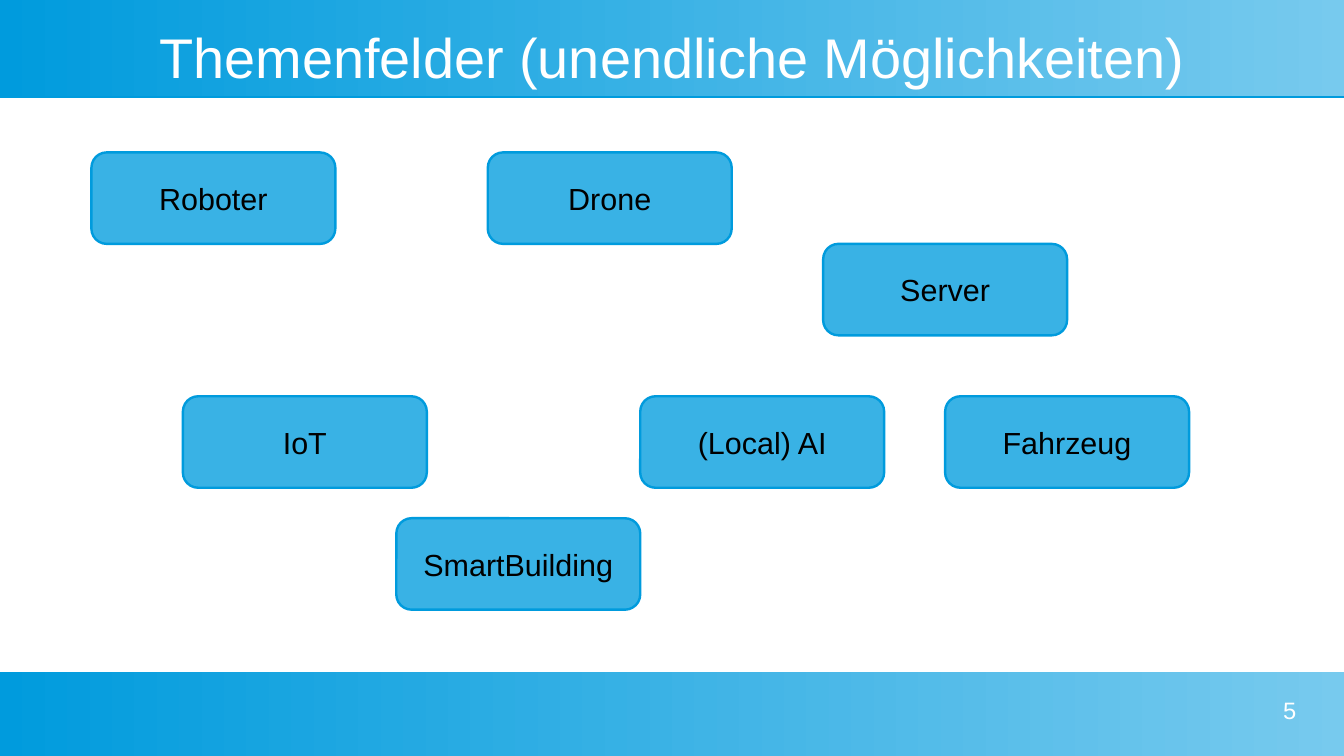
from typing import NamedTuple

from lxml import etree
from pptx import Presentation
from pptx.dml.color import RGBColor
from pptx.enum.shapes import MSO_SHAPE
from pptx.enum.text import MSO_ANCHOR, PP_ALIGN
from pptx.oxml.ns import qn
from pptx.shapes.autoshape import Shape
from pptx.slide import Slide
from pptx.text.text import TextFrame
from pptx.util import Inches, Pt

RECTANGLE, ROUNDED = MSO_SHAPE.RECTANGLE, MSO_SHAPE.ROUNDED_RECTANGLE
CENTER, RIGHT = PP_ALIGN.CENTER, PP_ALIGN.RIGHT
MIDDLE, TOP = MSO_ANCHOR.MIDDLE, MSO_ANCHOR.TOP

COLORS = {
    "deep": "009BDD",
    "light": "77CAEE",
    "topic": "39B2E5",
    "white": "FFFFFF",
    "black": "000000",
}
FONT = "Arial"
SLIDE_WIDTH, SLIDE_HEIGHT = 11.02, 6.2
TOPIC_WIDTH, TOPIC_HEIGHT = 2, 0.75


class Band(NamedTuple):
    top: float
    height: float


class Topic(NamedTuple):
    label: str
    left: float
    top: float


BANDS = [Band(0, 0.79), Band(5.51, 0.69)]
TOPICS = [
    Topic("Roboter", 0.75, 1.25),
    Topic("Drone", 4, 1.25),
    Topic("IoT", 1.5, 3.25),
    Topic("(Local) AI", 5.25, 3.25),
    Topic("Server", 6.75, 2),
    Topic("Fahrzeug", 7.75, 3.25),
    Topic("SmartBuilding", 3.25, 4.25),
]


def rgb(name: str) -> RGBColor:
    return RGBColor.from_string(COLORS[name])


def write(frame: TextFrame, text: str, size: float, color: str,
          align: PP_ALIGN, anchor: MSO_ANCHOR,
          inset: tuple[float, float] = (0, 0), wrap: bool = True) -> None:
    frame.word_wrap = wrap
    frame.vertical_anchor = anchor
    frame.margin_left = frame.margin_right = Inches(inset[0])
    frame.margin_top = frame.margin_bottom = Inches(inset[1])
    frame.text = text
    paragraph = frame.paragraphs[0]
    paragraph.alignment = align
    paragraph.font.name = FONT
    paragraph.font.size = Pt(size)
    paragraph.font.color.rgb = rgb(color)


def add_edge_shadow(shape: Shape) -> None:
    effects = etree.SubElement(shape.element.spPr, qn("a:effectLst"))
    shadow = etree.SubElement(effects, qn("a:outerShdw"), blurRad="0",
                              dist=str(Pt(0.9)), dir="5400000",
                              algn="t", rotWithShape="0")
    etree.SubElement(shadow, qn("a:srgbClr"), val=COLORS["deep"])


def draw_band(slide: Slide, band: Band) -> None:
    shape = slide.shapes.add_shape(
        RECTANGLE, 0, Inches(band.top), Inches(SLIDE_WIDTH), Inches(band.height))
    shape.line.fill.background()
    shape.fill.gradient()
    shape.fill.gradient_angle = 0
    for stop, position, color in zip(
            shape.fill.gradient_stops, (0, 1), ("deep", "light")):
        stop.position = position
        stop.color.rgb = rgb(color)
    add_edge_shadow(shape)


def draw_topic(slide: Slide, topic: Topic) -> None:
    shape = slide.shapes.add_shape(
        ROUNDED, Inches(topic.left), Inches(topic.top),
        Inches(TOPIC_WIDTH), Inches(TOPIC_HEIGHT))
    shape.shadow.inherit = False
    shape.fill.solid()
    shape.fill.fore_color.rgb = rgb("topic")
    shape.line.color.rgb = rgb("deep")
    shape.line.width = Pt(1.42)
    write(shape.text_frame, topic.label, 18, "black", CENTER, MIDDLE,
          inset=(0.1, 0.05), wrap=False)


def place_title(slide: Slide, text: str) -> None:
    title = slide.shapes.title
    slide.shapes.element.append(title.element)
    title.left, title.top = Inches(0.39), Inches(0.2)
    title.width, title.height = Inches(10.24), Inches(0.52)
    write(title.text_frame, text, 33, "white", CENTER, MIDDLE)


def draw_page_number(slide: Slide, number: str) -> None:
    box = slide.shapes.add_textbox(
        Inches(8.07), Inches(5.71), Inches(2.56), Inches(0.39))
    write(box.text_frame, number, 14, "white", RIGHT, TOP)


def main() -> None:
    deck = Presentation()
    deck.slide_width, deck.slide_height = Inches(SLIDE_WIDTH), Inches(SLIDE_HEIGHT)
    slide = deck.slides.add_slide(deck.slide_layouts.get_by_name("Title Only"))
    for band in BANDS:
        draw_band(slide, band)
    place_title(slide, "Themenfelder (unendliche Möglichkeiten)")
    for topic in TOPICS:
        draw_topic(slide, topic)
    draw_page_number(slide, "5")
    deck.save("out.pptx")


if __name__ == "__main__":
    main()
